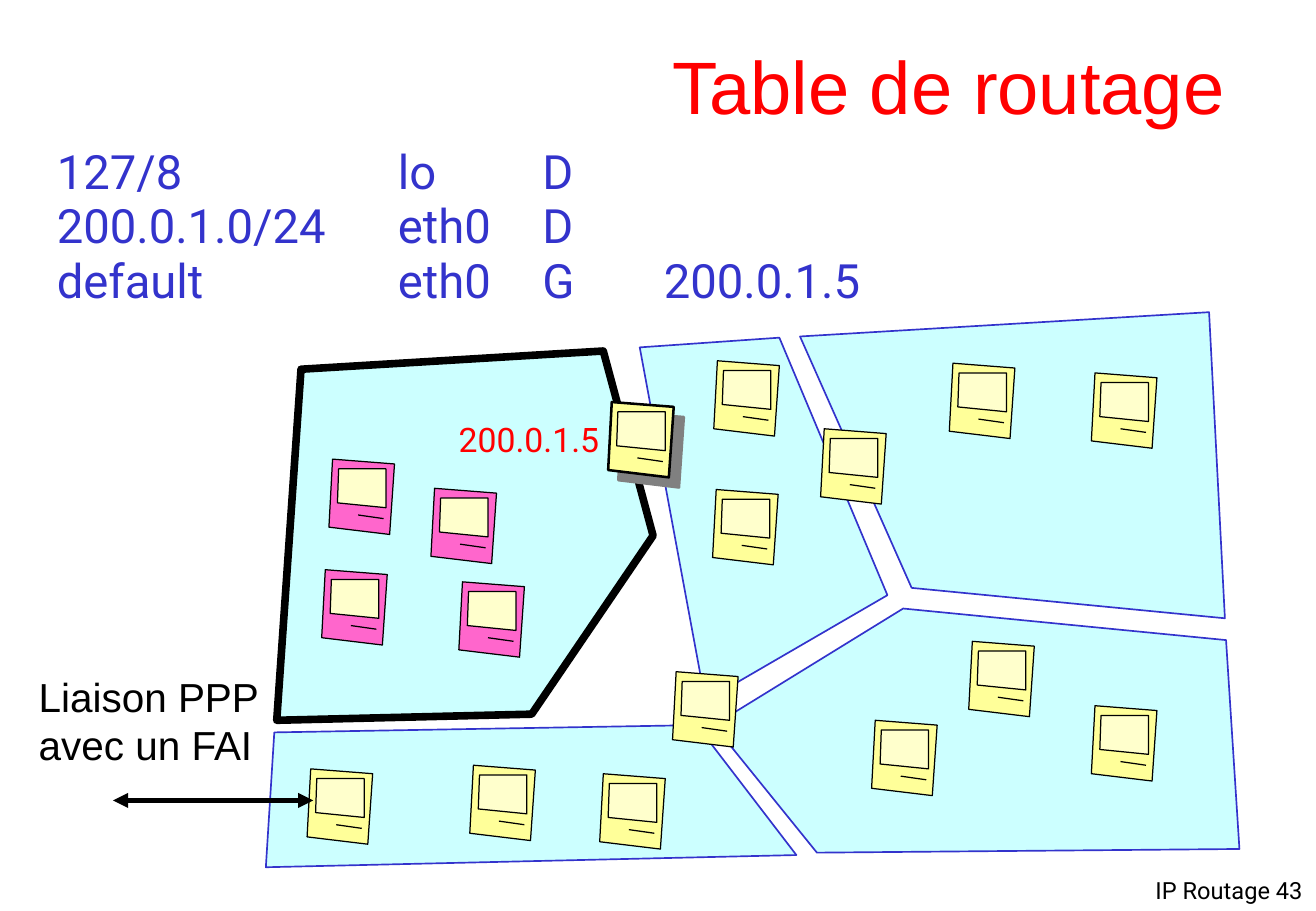
import dataclasses

import lxml.etree
import pptx
import pptx.dml.color
import pptx.enum.shapes
import pptx.enum.text
import pptx.oxml.ns
import pptx.util

Inches = pptx.util.Inches
Pt = pptx.util.Pt
qn = pptx.oxml.ns.qn
rgb = pptx.dml.color.RGBColor.from_string
ALIGN = pptx.enum.text.PP_ALIGN


@dataclasses.dataclass(frozen=True)
class Theme:
    black: str = "000000"
    red: str = "FF0000"
    blue: str = "3333CC"
    network: str = "CCFFFF"
    pink: str = "FF66CC"
    yellow: str = "FFFF99"
    screen: str = "FFFFCC"
    shadow: str = "808080"
    heading_font: str = "Arial"
    body_font: str = "Roboto"
    title_size: int = 44
    route_size: int = 28
    link_size: int = 24
    address_size: int = 20
    footer_size: int = 14


theme = Theme()


def draw_polygon(shapes, points, fill, line, width):
    corners = [(Inches(x), Inches(y)) for x, y in points]
    builder = shapes.build_freeform(*corners[0])
    builder.add_line_segments(corners[1:], close=True)
    shape = builder.convert_to_shape()
    shape.shadow.inherit = False
    shape.fill.solid()
    shape.fill.fore_color.rgb = rgb(fill)
    shape.line.color.rgb = rgb(line)
    shape.line.width = Pt(width)
    return shape


def draw_line(shapes, start, end, width):
    connector = shapes.add_connector(
        pptx.enum.shapes.MSO_CONNECTOR.STRAIGHT, *map(Inches, start + end))
    connector.line.color.rgb = rgb(theme.black)
    connector.line.width = Pt(width)
    lxml.etree.SubElement(connector._element.spPr, qn("a:effectLst"))
    return connector


presentation = pptx.Presentation()
presentation.slide_width = Inches(10.84)
presentation.slide_height = Inches(7.5)
slide = presentation.slides.add_slide(presentation.slide_layouts[5])

# Networks
networks = [
    ([(5.88, 5.97), (7.44, 5.01), (10.1, 5.27), (10.21, 6.99), (6.73, 7.02)], theme.blue, 1),
    ([(2.26, 6.03), (2.19, 7.14), (6.56, 7.04), (5.74, 5.97)], theme.blue, 1),
    ([(6.59, 2.77), (9.96, 2.57), (10.09, 5.09), (7.51, 4.84)], theme.blue, 1),
    ([(2.48, 3.04), (4.97, 2.89), (5.38, 4.41), (4.38, 5.88), (2.28, 5.93)], theme.black, 4.5),
    ([(5.27, 2.86), (6.42, 2.78), (7.31, 4.9), (5.81, 5.77)], theme.blue, 1),
]
for points, line, width in networks:
    draw_polygon(slide.shapes, points, theme.network, line, width)

# Hosts, each drawn from its top left corner
case_outline = [(0, 0.56), (0.03, 0), (0.54, 0.04), (0.5, 0.62)]
screen_outline = [(0.08, 0.08), (0.07, 0.36), (0.47, 0.4), (0.47, 0.08)]
drive_slot = [(0.24, 0.46), (0.45, 0.49)]
local_hosts = [(2.71, 3.78), (3.55, 4.02), (2.65, 4.69), (3.78, 4.79)]
gateway = (5.01, 3.31)
other_hosts = [
    (5.88, 2.97), (5.87, 4.03), (7.18, 5.93), (2.53, 6.33), (7.98, 5.28),
    (8.99, 5.81), (8.99, 3.07), (3.87, 6.3), (4.94, 6.37), (5.54, 5.53),
    (6.76, 3.53), gateway, (7.82, 2.99),
]
for left, top in local_hosts + other_hosts:
    case, screen, slot = (
        [(left + x, top + y) for x, y in outline]
        for outline in (case_outline, screen_outline, drive_slot))
    is_gateway = (left, top) == gateway
    case_fill = theme.pink if (left, top) in local_hosts else theme.yellow
    host = slide.shapes.add_group_shape()
    case_shape = draw_polygon(
        host.shapes, case, case_fill, theme.black, 1.5 if is_gateway else 0.75)
    draw_polygon(host.shapes, screen, theme.screen, theme.black, 0.75)
    draw_line(host.shapes, *slot, 0.75)
    if is_gateway:
        effects = case_shape._element.spPr.find(qn("a:effectLst"))
        shadow = lxml.etree.SubElement(
            effects, qn("a:outerShdw"), dist=str(Pt(8.5)), dir=str(45 * 60000),
            algn="ctr", rotWithShape="0")
        lxml.etree.SubElement(shadow, qn("a:srgbClr"), val=theme.shadow)

# PPP link
ppp_link = draw_line(slide.shapes, (2.58, 6.59), (0.93, 6.59), 3)
for end in ("a:headEnd", "a:tailEnd"):
    lxml.etree.SubElement(ppp_link.line._get_or_add_ln(), qn(end), type="triangle")

# Texts
routes = [
    ("127/8", "lo", "D"),
    ("200.0.1.0/24", "eth0", "D"),
    ("default", "eth0", "G", "200.0.1.5"),
]
route_text = "\n".join("\t".join(route) for route in routes)
title = slide.shapes.title
route_box, link_box, address_box, footer_box = (
    slide.shapes.add_textbox(0, 0, 0, 0) for _ in range(4))
texts = [
    (title, (5.02, 0.28, 5.59, 0.9), "Table de routage", theme.heading_font,
     theme.title_size, theme.red, ALIGN.CENTER, 0.96, 0),
    (route_box, (0.37, 1.15, 9.3, 1.45), route_text, theme.body_font,
     theme.route_size, theme.blue, ALIGN.LEFT, 0.96, 5.9),
    (link_box, (0.22, 5.48, 2.2, 0.9), "Liaison PPP avec un FAI", theme.heading_font,
     theme.link_size, theme.black, ALIGN.LEFT, 1.0, 15),
    (address_box, (3.68, 3.42, 1.38, 0.42), "200.0.1.5", theme.body_font,
     theme.address_size, theme.red, ALIGN.LEFT, 0.96, 0),
    (footer_box, (8.96, 7.18, 1.87, 0.36), "IP Routage 43", theme.body_font,
     theme.footer_size, theme.black, ALIGN.RIGHT, 0.96, 0),
]
for shape, place, text, font, size, color, alignment, spacing, before in texts:
    shape.left, shape.top, shape.width, shape.height = map(Inches, place)
    frame = shape.text_frame
    frame.word_wrap = shape is not address_box
    frame.auto_size = pptx.enum.text.MSO_AUTO_SIZE.NONE
    paragraph = frame.paragraphs[0]
    paragraph.text = text
    paragraph.alignment = alignment
    paragraph.line_spacing = spacing
    paragraph.space_before = Pt(before)
    for run in paragraph.runs:
        run.font.name = font
        run.font.size = Pt(size)
        run.font.color.rgb = rgb(color)
title.text_frame.vertical_anchor = pptx.enum.text.MSO_ANCHOR.MIDDLE

# Columns of the routing table
route_properties = route_box.text_frame.paragraphs[0]._p.get_or_add_pPr()
tab_stops = lxml.etree.SubElement(route_properties, qn("a:tabLst"))
for position in (2.81, 4, 5):
    lxml.etree.SubElement(tab_stops, qn("a:tab"), pos=str(Inches(position)), algn="l")

presentation.save("out.pptx")
